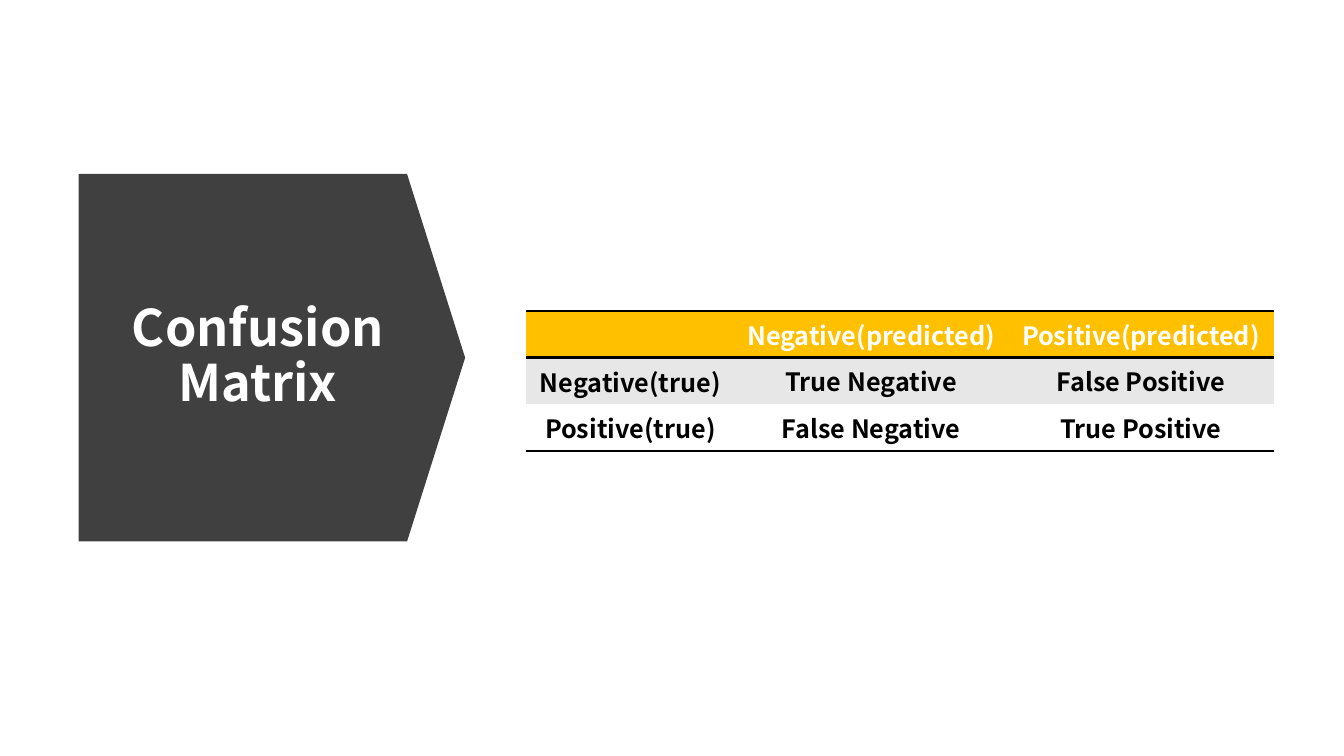
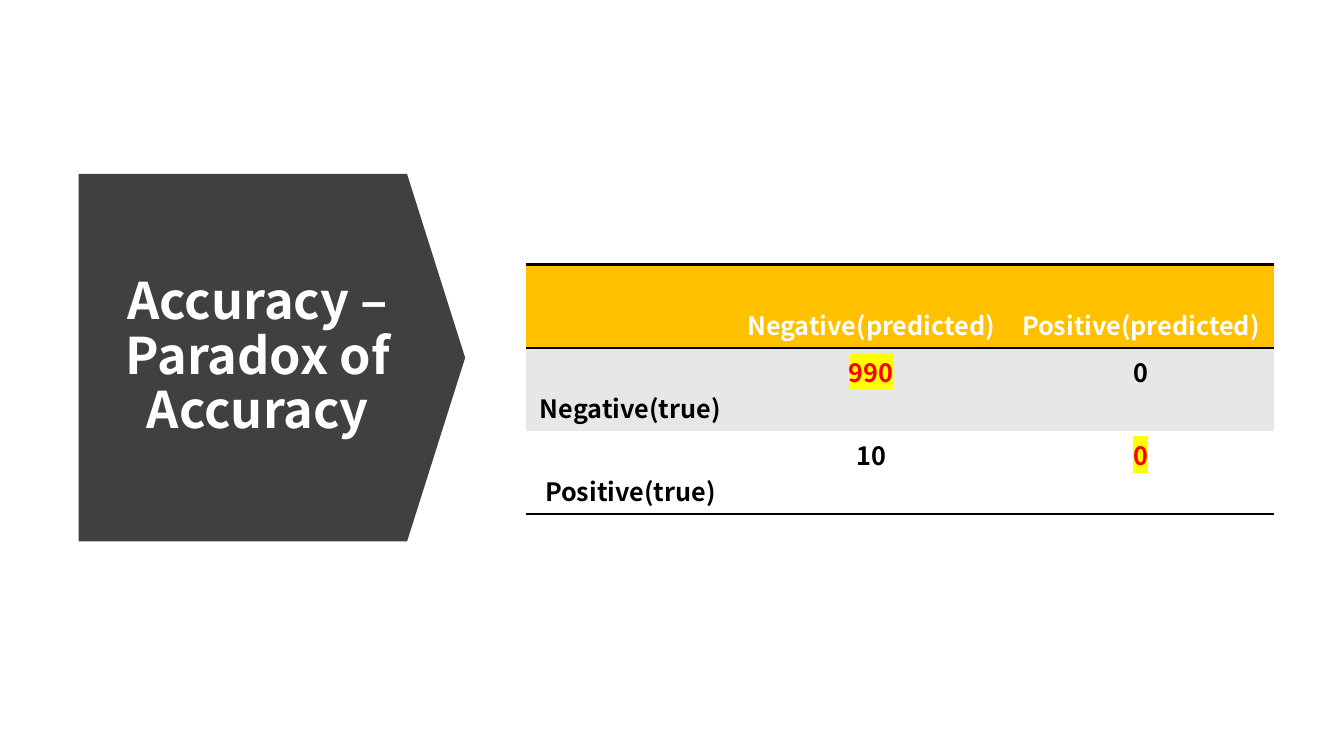
from dataclasses import dataclass

from lxml import etree
from pptx import Presentation
from pptx.dml.color import RGBColor
from pptx.enum.shapes import MSO_SHAPE as Preset
from pptx.enum.text import MSO_ANCHOR as Anchor, PP_ALIGN as Align
from pptx.oxml.ns import qn
from pptx.util import Pt


@dataclass(frozen=True)
class Theme:
    font: str = "Noto Sans CJK KR"
    title_size: int = 36
    table_size: int = 18
    border_width: int = 2
    arrow: str = "404040"
    header: str = "FFC000"
    band: str = "E7E7E7"
    white: str = "FFFFFF"
    black: str = "000000"
    accent: str = "FF0000"
    highlight: str = "FFFF00"


theme = Theme()
NO_STYLE = "{2D5ABB26-0587-4C30-8999-92F81FD0307C}"


def format_text(paragraph, size, color, highlight=None):
    paragraph.alignment = Align.CENTER
    paragraph.font.size = Pt(size)
    for run in paragraph.runs:
        run.font.size = Pt(size)
        run.font.bold = True
        run.font.color.rgb = RGBColor.from_string(color)
        if highlight:
            mark = etree.SubElement(run.font._element, qn("a:highlight"))
            etree.SubElement(mark, qn("a:srgbClr"), val=highlight)
        run.font.name = theme.font


def add_border(cell, tag):
    properties = cell._tc.get_or_add_tcPr()
    line = etree.SubElement(properties, qn(tag), w=str(Pt(theme.border_width)))
    fill = etree.SubElement(line, qn("a:solidFill"))
    etree.SubElement(fill, qn("a:srgbClr"), val=theme.black)


# Content: the table cells and the (row, column) places to highlight
header = ["", "Negative(predicted)", "Positive(predicted)"]
slides = [
    {
        "title": "Confusion Matrix",
        "top": 222,
        "row_height": 33.4,
        "rows": [
            header,
            ["Negative(true)", "True Negative", "False Positive"],
            ["Positive(true)", "False Negative", "True Positive"],
        ],
        "marked": [],
    },
    {
        "title": "Accuracy – Paradox of Accuracy",
        "top": 189,
        "row_height": 59.4,
        "rows": [
            header,
            ["Negative(true)", "990", "0"],
            ["Positive(true)", "10", "0"],
        ],
        "marked": [(1, 1), (2, 2)],
    },
]
column_widths = [148.5, 195.5, 190]
row_fills = [theme.header, theme.band, theme.white]
row_borders = [["a:lnT", "a:lnB"], [], ["a:lnB"]]

presentation = Presentation()
presentation.slide_width = Pt(960)
presentation.slide_height = Pt(540)

for content in slides:
    slide = presentation.slides.add_slide(presentation.slide_layouts[6])

    # Arrow panel
    arrow = slide.shapes.add_shape(
        Preset.DOWN_ARROW, Pt(63), Pt(117.5), Pt(262.5), Pt(276))
    arrow.rotation = 270
    arrow.adjustments[0] = 1
    arrow.adjustments[1] = 0.158
    arrow.shadow.inherit = False
    arrow.fill.solid()
    arrow.fill.fore_color.rgb = RGBColor.from_string(theme.arrow)
    arrow.line.fill.background()

    # Title
    title = slide.shapes.add_textbox(Pt(80.5), Pt(155), Pt(207.5), Pt(201))
    title.text_frame.word_wrap = True
    title.text_frame.vertical_anchor = Anchor.MIDDLE
    title.text_frame.text = content["title"]
    paragraph = title.text_frame.paragraphs[0]
    paragraph.line_spacing = 0.9
    format_text(paragraph, theme.title_size, theme.white)

    # Table
    rows = content["rows"]
    table = slide.shapes.add_table(
        len(rows), len(column_widths), Pt(376), Pt(content["top"]),
        Pt(sum(column_widths)), Pt(content["row_height"] * len(rows))).table
    table._tbl.tblPr.find(qn("a:tableStyleId")).text = NO_STYLE
    table.horz_banding = False
    for column, width in zip(table.columns, column_widths):
        column.width = Pt(width)

    for row_index, texts in enumerate(rows):
        table.rows[row_index].height = Pt(content["row_height"])
        for column_index, text in enumerate(texts):
            cell = table.cell(row_index, column_index)
            for tag in row_borders[row_index]:
                add_border(cell, tag)
            cell.fill.solid()
            cell.fill.fore_color.rgb = RGBColor.from_string(row_fills[row_index])

            # Headings sit at the bottom of their cells, values at the top
            is_heading = row_index == 0 or column_index == 0
            cell.vertical_anchor = Anchor.BOTTOM if is_heading else Anchor.TOP
            cell.text_frame.text = text
            color = theme.white if row_index == 0 else theme.black
            highlight = None
            if (row_index, column_index) in content["marked"]:
                color, highlight = theme.accent, theme.highlight
            format_text(cell.text_frame.paragraphs[0], theme.table_size,
                        color, highlight)

presentation.save("out.pptx")
